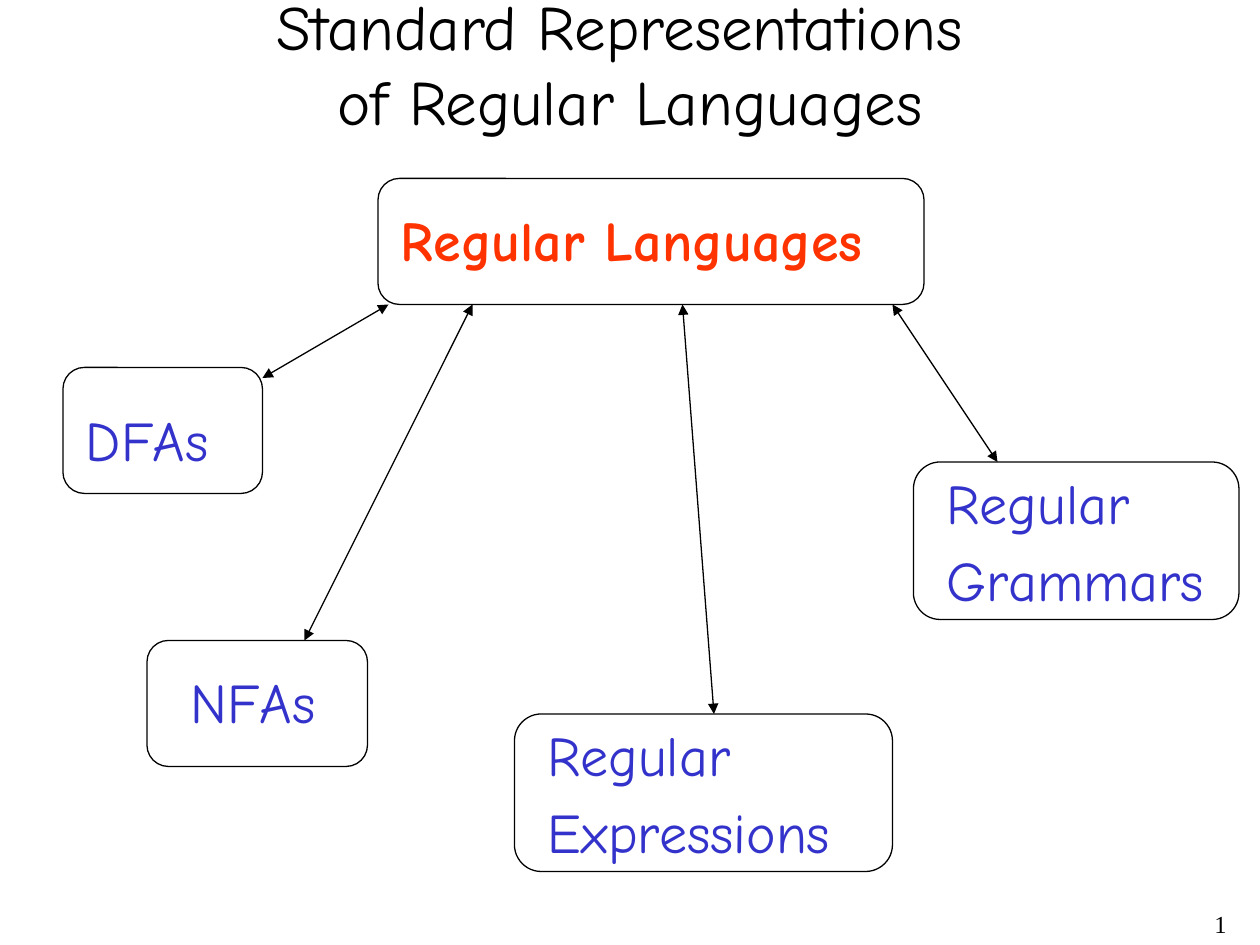
import copy

import pptx
import pptx.dml.color
import pptx.enum.shapes
import pptx.enum.text
import pptx.oxml.ns
import pptx.oxml.xmlchemy
import pptx.util

BLACK = pptx.dml.color.RGBColor(0x00, 0x00, 0x00)
RED = pptx.dml.color.RGBColor(0xFF, 0x33, 0x00)
BLUE = pptx.dml.color.RGBColor(0x33, 0x33, 0xCC)
COMIC = "Comic Neue"
SERIF = "Times New Roman"

# The slide is a grid of 120 columns by 90 rows, twelve to the inch
COLUMNS, ROWS = 120, 90
CELL = pptx.util.Inches(1) / 12
LINE_WIDTH = pptx.util.Pt(0.75)

# Left, top, width, height in cells
BOXES = [
    (36, 17, 52, 12),  # Regular Languages
    (6, 35, 19, 12),  # DFAs
    (14, 61, 21, 12),  # NFAs
    (49, 68, 36, 15),  # Regular Expressions
    (87, 44, 31, 15),  # Regular Grammars
]

# Text, left, top, width, height in cells, colour, bold
LABELS = [
    ("Regular Languages", 37, 19, 49.3, 7.6, RED, True),
    ("DFAs", 7, 38, 16, 7.6, BLUE, False),
    ("NFAs", 17, 63, 16.4, 7.6, BLUE, False),
    ("Regular\nExpressions", 51, 68, 32.2, 15.2, BLUE, False),
    ("Regular\nGrammars", 89, 44, 27.5, 15.2, BLUE, False),
]

# Start column, end column, end row: all arrows leave the top box's lower edge
ARROWS = [(37, 25, 36), (45, 29, 61), (65, 68, 68), (85, 95, 44)]
ARROW_START_ROW = 29


def cells(*counts):
    """Turn cell counts into slide lengths."""
    return [pptx.util.Emu(round(count * CELL)) for count in counts]


def format_text(text_frame, font_name, size, color, bold=False):
    for paragraph in text_frame.paragraphs:
        for run in paragraph.runs:
            run.font.name = font_name
            run.font.size = pptx.util.Pt(size)
            run.font.color.rgb = color
            run.font.bold = bold


def add_title(slide, text):
    title = slide.shapes.title
    title.left, title.top, title.width, title.height = cells(2, 2, 116, 8)
    text_frame = title.text_frame
    text_frame.text = text
    text_frame.auto_size = pptx.enum.text.MSO_AUTO_SIZE.NONE
    text_frame.vertical_anchor = pptx.enum.text.MSO_ANCHOR.MIDDLE
    paragraph = text_frame.paragraphs[0]
    paragraph.alignment = pptx.enum.text.PP_ALIGN.CENTER
    format_text(text_frame, COMIC, 36, BLACK)
    # Give the line break the size of the text around it
    run_properties = paragraph.runs[0]._r.get_or_add_rPr()
    for line_break in paragraph._p.findall(pptx.oxml.ns.qn("a:br")):
        line_break.insert(0, copy.deepcopy(run_properties))


def add_label(slide, text, left, top, width, height, color, bold):
    label = slide.shapes.add_textbox(*cells(left, top, width, height))
    text_frame = label.text_frame
    text_frame.text = text
    text_frame.word_wrap = False
    text_frame.auto_size = pptx.enum.text.MSO_AUTO_SIZE.SHAPE_TO_FIT_TEXT
    for paragraph in text_frame.paragraphs[1:]:
        paragraph.space_before = pptx.util.Pt(6)
    format_text(text_frame, COMIC, 32, color, bold)


def add_box(slide, left, top, width, height):
    box = slide.shapes.add_shape(
        pptx.enum.shapes.MSO_SHAPE.ROUNDED_RECTANGLE,
        *cells(left, top, width, height),
    )
    box.adjustments[0] = 0.17
    box.shadow.inherit = False
    box.fill.background()
    box.line.color.rgb = BLACK
    box.line.width = LINE_WIDTH


def add_double_arrow(slide, start_column, end_column, end_row):
    arrow = slide.shapes.add_connector(
        pptx.enum.shapes.MSO_CONNECTOR.STRAIGHT,
        *cells(start_column, ARROW_START_ROW, end_column, end_row),
    )
    arrow.line.color.rgb = BLACK
    arrow.line.width = LINE_WIDTH
    line = arrow.line._get_or_add_ln()
    for tag in ("a:headEnd", "a:tailEnd"):
        line_end = pptx.oxml.xmlchemy.OxmlElement(tag)
        line_end.set("type", "triangle")
        line.append(line_end)
    effects = pptx.oxml.xmlchemy.OxmlElement("a:effectLst")
    arrow._element.spPr.append(effects)


def add_slide_number(slide, number):
    box = slide.shapes.add_textbox(*cells(93, 86, 25, 4))
    text_frame = box.text_frame
    text_frame.text = number
    text_frame.word_wrap = True
    text_frame.paragraphs[0].alignment = pptx.enum.text.PP_ALIGN.RIGHT
    format_text(text_frame, SERIF, 14, BLACK)


def main():
    presentation = pptx.Presentation()
    presentation.slide_width, presentation.slide_height = cells(COLUMNS, ROWS)
    title_only = presentation.slide_layouts[5]
    slide = presentation.slides.add_slide(title_only)

    # Page furniture
    add_slide_number(slide, "1")
    add_title(slide, "Standard Representations \vof Regular Languages")

    # Diagram
    for label in LABELS:
        add_label(slide, *label)
    for box in BOXES:
        add_box(slide, *box)
    for arrow in ARROWS:
        add_double_arrow(slide, *arrow)

    presentation.save("out.pptx")


if __name__ == "__main__":
    main()
